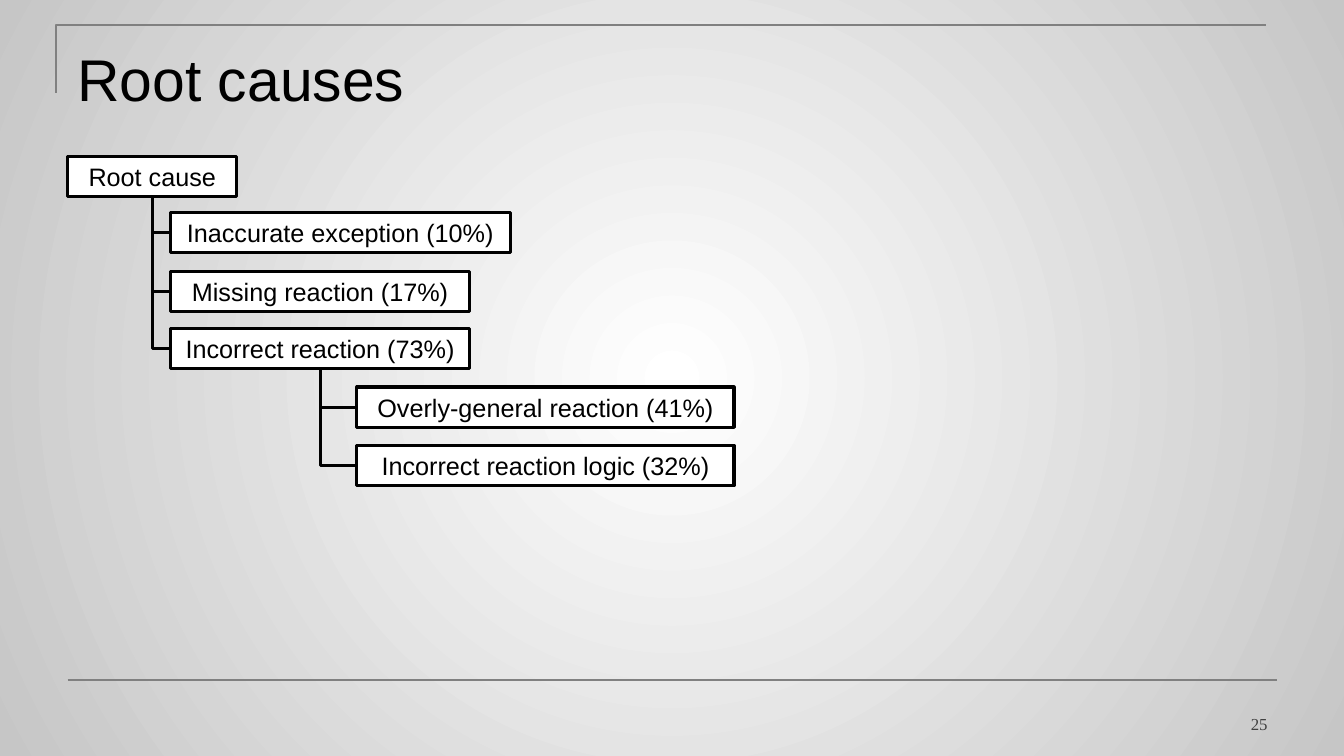
from dataclasses import dataclass

from lxml import etree
from pptx import Presentation
from pptx.dml.color import RGBColor
from pptx.enum.shapes import MSO_CONNECTOR as CONNECTOR, MSO_SHAPE as SHAPE
from pptx.enum.text import MSO_ANCHOR as ANCHOR, MSO_AUTO_SIZE as AUTO_SIZE, PP_ALIGN as ALIGN
from pptx.oxml import parse_xml
from pptx.oxml.ns import nsdecls, qn
from pptx.util import Inches, Pt


@dataclass(frozen=True)
class Theme:
    black: RGBColor = RGBColor(0x00, 0x00, 0x00)
    white: RGBColor = RGBColor(0xFF, 0xFF, 0xFF)
    frame: RGBColor = RGBColor(0x80, 0x80, 0x80)
    number: RGBColor = RGBColor(0x40, 0x40, 0x40)
    edge: RGBColor = RGBColor(0xC6, 0xC6, 0xC6)
    sans: str = "Arial"
    serif: str = "Times New Roman"
    title_size: Pt = Pt(42)
    box_size: Pt = Pt(18)
    number_size: Pt = Pt(12)
    frame_width: Pt = Pt(1.5)
    tree_width: Pt = Pt(2.25)


theme = Theme()


def write(shape, text, font_name, size, color, alignment):
    shape.text_frame.word_wrap = True
    paragraph = shape.text_frame.paragraphs[0]
    paragraph.text = text
    paragraph.alignment = alignment
    font = paragraph.runs[0].font
    font.name, font.size = font_name, size
    font.color.rgb = color


def style_line(shape, color, width):
    """Set the outline and drop the theme's shadow."""
    shape.line.color.rgb = color
    shape.line.width = width
    properties = shape._element.spPr
    if properties.find(qn("a:effectLst")) is None:
        etree.SubElement(properties, qn("a:effectLst"))


presentation = Presentation()
presentation.slide_width = Inches(13.33)
presentation.slide_height = Inches(7.5)
slide = presentation.slides.add_slide(presentation.slide_layouts[6])
shapes = slide.shapes

# Background: radial gradient, light in the centre
background = slide.background.fill
background.gradient()
for stop, color in zip(background.gradient_stops, (theme.white, theme.edge)):
    stop.color.rgb = color
gradient = slide._element.cSld.find(".//" + qn("a:gradFill"))
gradient.replace(
    gradient.find(qn("a:lin")),
    parse_xml(
        f'<a:path {nsdecls("a")} path="circle">'
        '<a:fillToRect l="50000" t="50000" r="50000" b="50000"/></a:path>'
    ),
)

# Frame lines
builder = shapes.build_freeform(Inches(0.56), Inches(0.92))
builder.add_line_segments(
    [(Inches(0.56), Inches(0.25)), (Inches(12.56), Inches(0.25))], close=False
)
corner = builder.convert_to_shape()
corner.fill.background()
style_line(corner, theme.frame, theme.frame_width)
footer_line = shapes.add_connector(
    CONNECTOR.STRAIGHT, Inches(0.67), Inches(6.75), Inches(12.67), Inches(6.75)
)
style_line(footer_line, theme.frame, theme.frame_width)

# Title and page number
title = shapes.add_textbox(Inches(0.67), Inches(0.3), Inches(12), Inches(1.25))
title.text_frame.margin_top = Inches(0.12)
write(title, "Root causes", theme.sans, theme.title_size, theme.black, ALIGN.LEFT)
page_number = shapes.add_textbox(Inches(9.56), Inches(6.83), Inches(3.11), Inches(0.5))
page_number.text_frame.vertical_anchor = ANCHOR.BOTTOM
write(page_number, "25", theme.serif, theme.number_size, theme.number, ALIGN.RIGHT)

# Tree: text, parent, left, top, width
ROOT, INCORRECT = "Root cause", "Incorrect reaction (73%)"
nodes = [
    (ROOT, None, 0.67, 1.55, 1.68),
    ("Inaccurate exception (10%)", ROOT, 1.69, 2.11, 3.37),
    ("Missing reaction (17%)", ROOT, 1.69, 2.69, 2.97),
    (INCORRECT, ROOT, 1.69, 3.26, 2.97),
    ("Overly-general reaction (41%)", INCORRECT, 3.54, 3.84, 3.74),
    ("Incorrect reaction logic (32%)", INCORRECT, 3.54, 4.42, 3.74),
]
boxes = {}
for text, parent_text, left, top, width in nodes:
    box = shapes.add_shape(
        SHAPE.RECTANGLE, Inches(left), Inches(top), Inches(width), Inches(0.4)
    )
    box.shadow.inherit = False
    box.fill.solid()
    box.fill.fore_color.rgb = theme.white
    style_line(box, theme.black, theme.tree_width)
    box.text_frame.auto_size = AUTO_SIZE.SHAPE_TO_FIT_TEXT
    write(box, text, theme.sans, theme.box_size, theme.black, ALIGN.CENTER)
    boxes[text] = box
    if parent_text is None:
        continue

    parent = boxes[parent_text]
    start_x, start_y = parent.left + parent.width // 2, parent.top + parent.height
    end_x, end_y = box.left, box.top + box.height // 2
    branch = shapes.add_connector(CONNECTOR.ELBOW, start_x, start_y, end_x, end_y)
    branch.begin_connect(parent, 2)
    branch.end_connect(box, 1)
    style_line(branch, theme.black, theme.tree_width)
    # One bend, down then right: a flipped elbow turned by 270 degrees
    run, drop = end_x - start_x, end_y - start_y
    branch.left = (start_x + end_x - drop) // 2
    branch.top = (start_y + end_y - run) // 2
    branch.width, branch.height = drop, run
    properties = branch._element.spPr
    properties.find(qn("a:prstGeom")).set("prst", "bentConnector2")
    transform = properties.find(qn("a:xfrm"))
    transform.set("rot", "16200000")
    transform.set("flipH", "1")

presentation.save("out.pptx")
